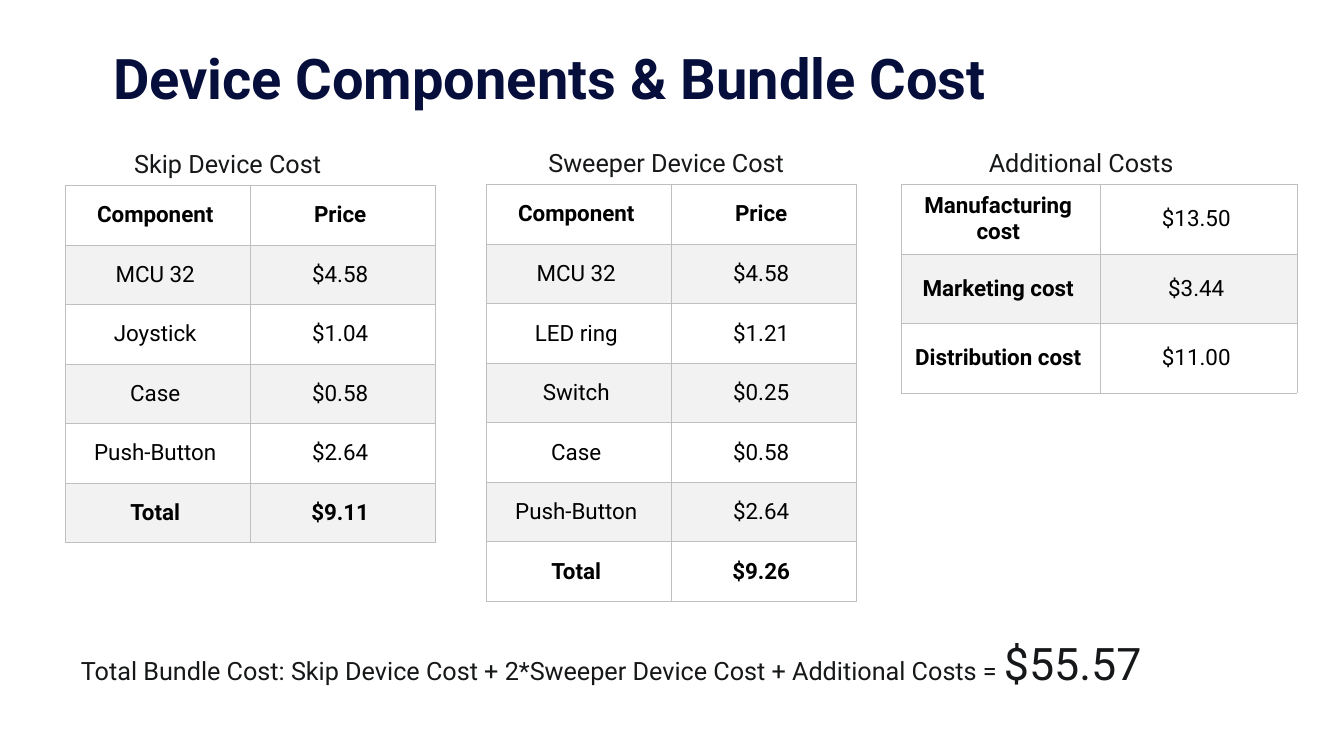
from lxml import etree
from pptx import Presentation
from pptx.dml.color import RGBColor
from pptx.enum.text import MSO_ANCHOR, PP_ALIGN
from pptx.oxml.ns import qn
from pptx.util import Cm, Pt

MIDDLE = MSO_ANCHOR.MIDDLE
CENTER = PP_ALIGN.CENTER

NAVY = RGBColor(0x06, 0x0E, 0x3B)
INK = RGBColor(0x15, 0x17, 0x18)
BLACK = RGBColor(0, 0, 0)
WHITE = RGBColor(0xFF, 0xFF, 0xFF)
BAND = RGBColor(0xF2, 0xF2, 0xF2)
BORDER = RGBColor(0xBF, 0xBF, 0xBF)
FONT = "Roboto"

HEADER = ("Component", "Price")
CONTROLLER = ("MCU 32", "$4.58")
SKIP_ROWS = [
    HEADER,
    CONTROLLER,
    ("Joystick", "$1.04"),
    ("Case", "$0.58"),
    ("Push-Button", "$2.64"),
    ("Total", "$9.11"),
]
SWEEPER_ROWS = [
    HEADER,
    CONTROLLER,
    ("LED ring", "$1.21"),
    ("Switch", "$0.25"),
    ("Case", "$0.58"),
    ("Push-Button", "$2.64"),
    ("Total", "$9.26"),
]
ADDITIONAL_ROWS = [
    ("Manufacturing cost", "$13.50"),
    ("Marketing cost", "$3.44"),
    ("Distribution cost", "$11.00"),
]


def add_span(para, text, size, color, bold=False):
    span = para.add_run()
    span.text = text
    span.font.name = FONT
    span.font.size = Pt(size)
    span.font.bold = bold
    span.font.color.rgb = color


def add_text_box(page, left, top, width, height):
    box = page.shapes.add_textbox(Cm(left), Cm(top), Cm(width), Cm(height))
    box.text_frame.word_wrap = True
    return box.text_frame


def add_title(page, left, top, width, height):
    frame = add_text_box(page, left, top, width, height)
    frame.vertical_anchor = MIDDLE
    frame.margin_left = frame.margin_right = Cm(0.51)
    frame.margin_top = frame.margin_bottom = Cm(0.25)
    para = frame.paragraphs[0]
    para.line_spacing = 0.9
    add_span(para, "Device Components & Bundle Cost", 40, NAVY, bold=True)


def add_cell_borders(cell):
    properties = cell._tc.get_or_add_tcPr()
    for side in ("a:lnL", "a:lnR", "a:lnT", "a:lnB"):
        line = etree.SubElement(properties, qn(side), w=str(Pt(0.5)))
        fill = etree.SubElement(line, qn("a:solidFill"))
        etree.SubElement(fill, qn("a:srgbClr"), val=str(BORDER))


def add_cost_table(page, left, top, column_widths, row_height, rows, is_bold):
    """Draw a banded table; is_bold(row, column) picks the bold cells."""
    frame = page.shapes.add_table(
        len(rows), len(column_widths), Cm(left), Cm(top),
        Cm(sum(column_widths)), Cm(row_height * len(rows)))
    table = frame.table
    table.first_row = table.horz_banding = False
    for column, width in zip(table.columns, column_widths):
        column.width = Cm(width)
    for row, values in enumerate(rows):
        table.rows[row].height = Cm(row_height)
        for column, value in enumerate(values):
            cell = table.cell(row, column)
            cell.vertical_anchor = MIDDLE
            cell.margin_right = Cm(0.39)
            add_cell_borders(cell)
            cell.fill.solid()
            cell.fill.fore_color.rgb = BAND if row % 2 else WHITE
            para = cell.text_frame.paragraphs[0]
            para.alignment = CENTER
            add_span(para, value, 16, BLACK, is_bold(row, column))


def add_caption(page, left, top, width, text):
    frame = add_text_box(page, left, top, width, 1.02)
    add_span(frame.paragraphs[0], text, 18, INK)


def add_device_costs(page, left, top, caption_left, caption, rows):
    add_caption(page, left + caption_left, top - 1.05, 7.5, caption)
    add_cost_table(page, left, top, (4.66, 4.66), 1.5, rows,
                   lambda row, column: row in (0, len(rows) - 1))


def add_additional_costs(page, left, top):
    add_caption(page, left + 1.96, top - 1.05, 6.3, "Additional Costs")
    add_cost_table(page, left, top, (5.03, 4.95), 1.75, ADDITIONAL_ROWS,
                   lambda row, column: column == 0)


def add_bundle_total(page, left, top, width, height):
    para = add_text_box(page, left, top, width, height).paragraphs[0]
    add_span(para, "Total Bundle Cost: Skip Device Cost + 2*Sweeper Device Cost"
                   " + Additional Costs = ", 18, INK)
    add_span(para, "$55.57", 32, INK)


def main():
    deck = Presentation()
    deck.slide_width = Cm(33.87)
    deck.slide_height = Cm(19.05)
    page = deck.slides.add_slide(deck.slide_layouts[6])
    add_title(page, 2.34, 1.02, 29.21, 2.08)
    add_device_costs(page, 1.65, 4.67, 1.48, "Skip Device Cost", SKIP_ROWS)
    add_device_costs(page, 12.26, 4.65, 1.31, "Sweeper Device Cost", SWEEPER_ROWS)
    add_additional_costs(page, 22.71, 4.65)
    add_bundle_total(page, 1.79, 15.9, 29.08, 1.63)
    deck.save("out.pptx")


if __name__ == "__main__":
    main()
